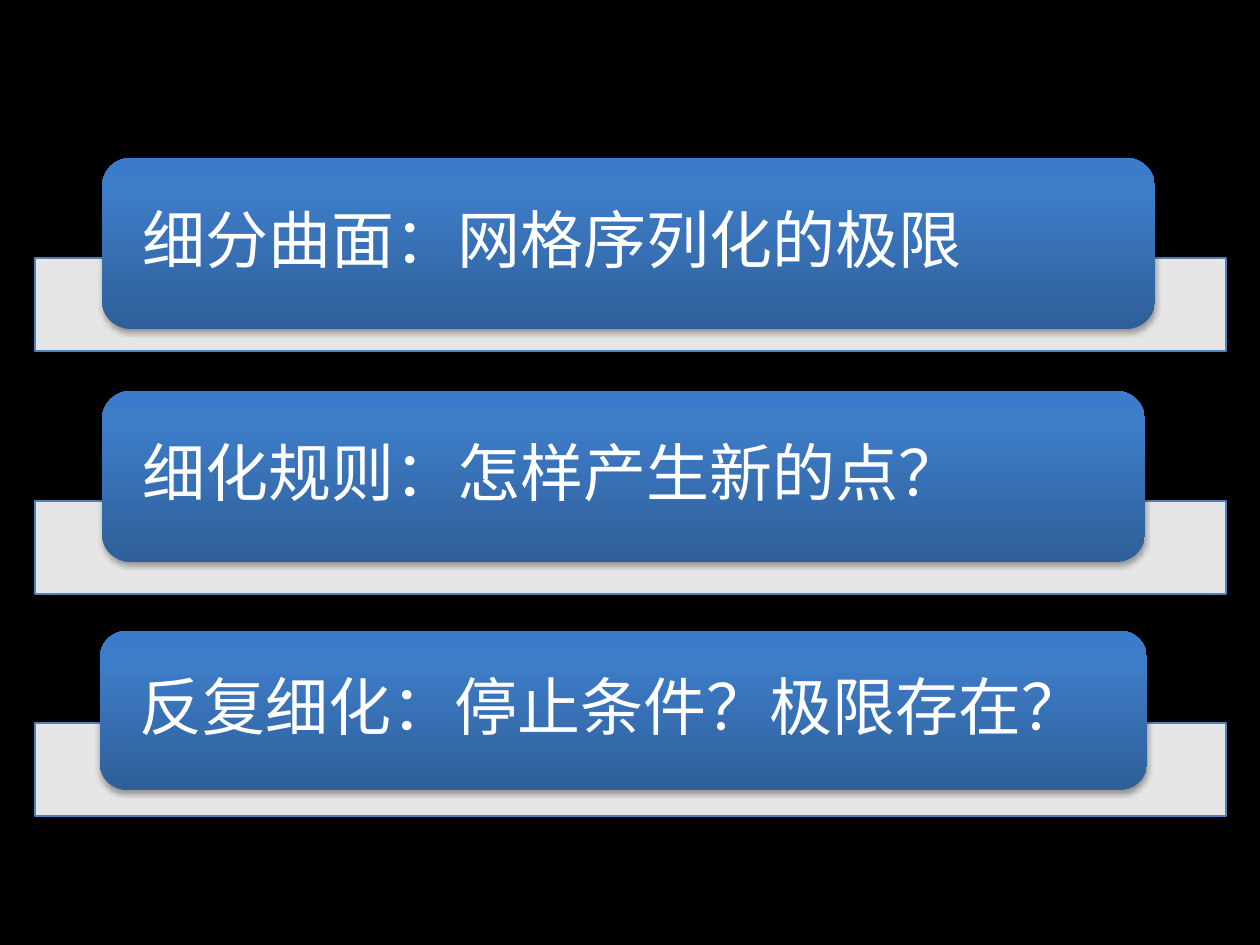
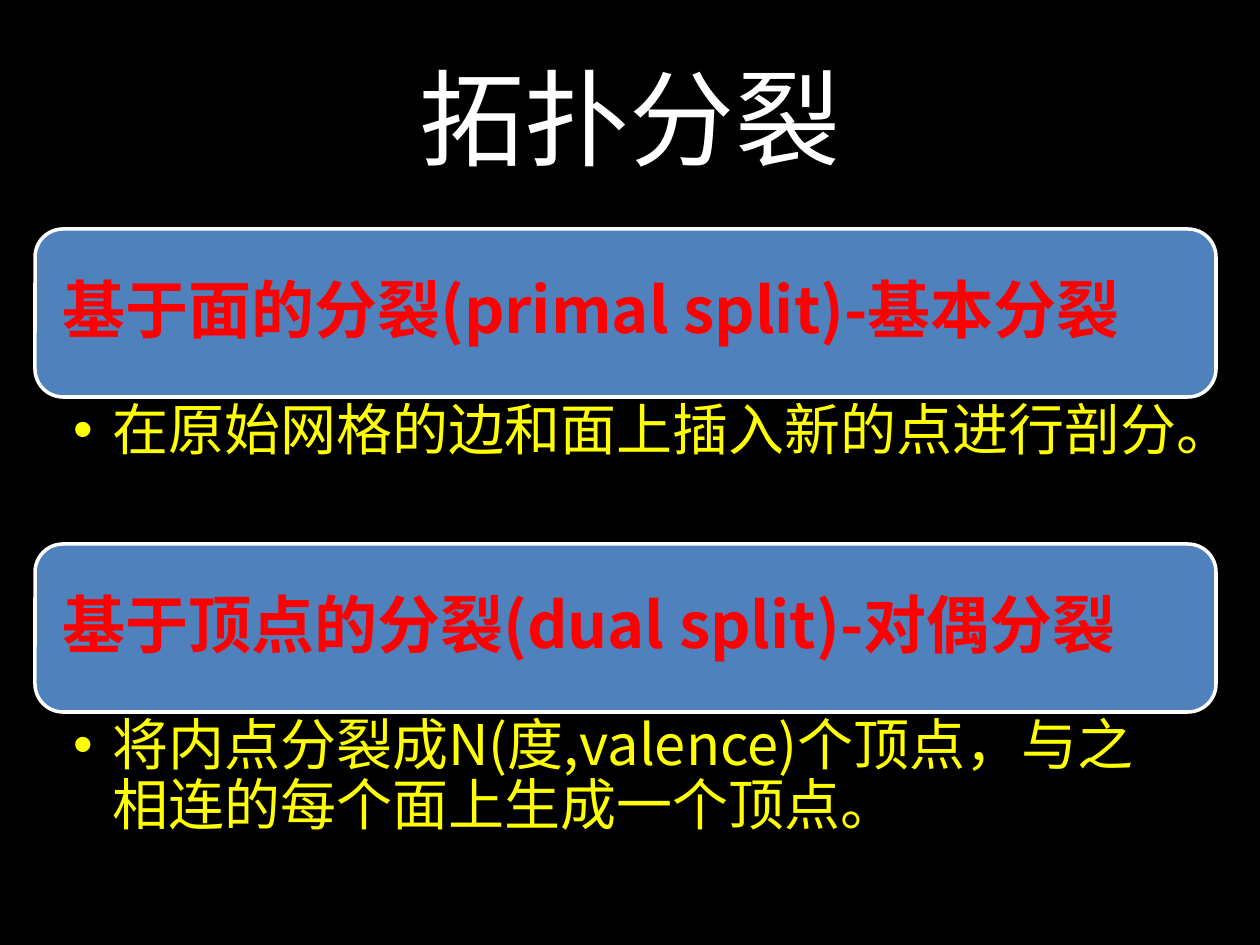
from lxml.etree import SubElement
from pptx import Presentation
from pptx.dml.color import RGBColor
from pptx.enum.shapes import MSO_SHAPE
from pptx.enum.text import MSO_ANCHOR, PP_ALIGN
from pptx.oxml.ns import qn
from pptx.util import Pt

# Content: each limit card has its text, its box and the top of its bar
LIMIT_CARDS = [
    ("细分曲面：网格序列化的极限", (102, 158, 1053, 171), 258),
    ("细化规则：怎样产生新的点？", (102, 391, 1043, 171), 501),
    ("反复细化：停止条件？极限存在？", (100, 631, 1047, 159), 723),
]
SPLIT_TITLE = "拓扑分裂"
SPLITS = [
    ("基于面的分裂(primal split)-基本分裂",
     "在原始网格的边和面上插入新的点进行剖分。"),
    ("基于顶点的分裂(dual split)-对偶分裂",
     "将内点分裂成N(度,valence)个顶点，与之相连的每个面上生成一个顶点。"),
]

# Shared style
BLACK = RGBColor(0, 0, 0)
WHITE = RGBColor(255, 255, 255)
RED = RGBColor(255, 0, 0)
YELLOW = RGBColor(255, 255, 0)
BLUE = RGBColor(0x4F, 0x81, 0xBD)
GRADIENT = [(0, "2F5F99"), (80, "3D7CC7"), (100, "3A7CCB")]
FONT = "Noto Sans CJK SC"
TITLE_FORMAT = {"size": Pt(60), "color": WHITE}
CARD_FORMAT = {"size": Pt(36), "color": WHITE}
HEADING_FORMAT = {"size": Pt(36), "color": RED, "bold": True}
BULLET_FORMAT = {"size": Pt(32), "color": YELLOW}

# Geometry in px
PX = 914400 / 126
LEFT = 35
BAR_WIDTH, BAR_HEIGHT = 1191, 93
SPLIT_TOP, SPLIT_PITCH = 229, 315
SPLIT_WIDTH, SPLIT_HEIGHT = 1181, 168
BULLET_INDENT = 39


def px(*lengths):
    return [round(length * PX) for length in lengths]


def add_page(deck):
    page = deck.slides.add_slide(deck.slide_layouts[6])
    fill = page.background.fill
    fill.solid()
    fill.fore_color.rgb = BLACK
    return page


def add_block(page, kind, box, fill, line=None, line_width=0.75):
    block = page.shapes.add_shape(kind, *px(*box))
    block.shadow.inherit = False
    block.fill.solid()
    block.fill.fore_color.rgb = fill
    if line is None:
        block.line.fill.background()
    else:
        block.line.color.rgb = line
        block.line.width = Pt(line_width)
    return block


def set_text(shape, text, style, insets, anchor=MSO_ANCHOR.MIDDLE,
             align=PP_ALIGN.LEFT, spacing=0.9, bullet=False):
    frame = shape.text_frame
    frame.word_wrap = True
    frame.vertical_anchor = anchor
    for side, inset in zip(("left", "top", "right", "bottom"), px(*insets)):
        setattr(frame, f"margin_{side}", inset)
    para = frame.paragraphs[0]
    para.alignment = align
    para.line_spacing = spacing
    if bullet:
        indent, = px(BULLET_INDENT)
        properties = para._p.get_or_add_pPr()
        properties.set("marL", str(indent))
        properties.set("indent", str(-indent))
        SubElement(properties, qn("a:buFont"), typeface="Arial")
        SubElement(properties, qn("a:buChar"), char="•")
    span = para.add_run()
    span.text = text
    for name, value in style.items():
        if name == "color":
            span.font.color.rgb = value
        else:
            setattr(span.font, name, value)
    span.font.name = FONT
    SubElement(span._r.get_or_add_rPr(), qn("a:ea"), typeface=FONT)


def set_alpha(shape, percent):
    color = shape._element.spPr.find(qn("a:solidFill")).find(qn("a:srgbClr"))
    SubElement(color, qn("a:alpha"), val=str(percent * 1000))


def add_gradient(shape):
    shape.fill.gradient()
    shape.fill.gradient_angle = 90
    stops = shape._element.spPr.find(qn("a:gradFill")).find(qn("a:gsLst"))
    for stop in list(stops):
        stops.remove(stop)
    for position, color in GRADIENT:
        stop = SubElement(stops, qn("a:gs"), pos=str(position * 1000))
        SubElement(stop, qn("a:srgbClr"), val=color)


def add_shadow(shape):
    effects = shape._element.spPr.find(qn("a:effectLst"))
    shadow = SubElement(effects, qn("a:outerShdw"), blurRad=str(Pt(3.1)),
                        dist=str(Pt(1.8)), dir="5400000", rotWithShape="0")
    color = SubElement(shadow, qn("a:srgbClr"), val=str(BLACK))
    SubElement(color, qn("a:alpha"), val="35000")


def build_limits(deck):
    page = add_page(deck)
    for text, box, bar_top in LIMIT_CARDS:
        bar = add_block(page, MSO_SHAPE.RECTANGLE,
                        (LEFT, bar_top, BAR_WIDTH, BAR_HEIGHT), WHITE, BLUE)
        set_alpha(bar, 90)
        card = add_block(page, MSO_SHAPE.ROUNDED_RECTANGLE, box, BLUE)
        add_gradient(card)
        add_shadow(card)
        set_text(card, text, CARD_FORMAT, (32, 0, 32, 0))


def build_splits(deck):
    page = add_page(deck)
    title = page.shapes.add_textbox(*px(63, 38, 1134, 157))
    set_text(title, SPLIT_TITLE, TITLE_FORMAT, (13, 6, 13, 6),
             align=PP_ALIGN.CENTER, spacing=1.0)
    for index, (heading, detail) in enumerate(SPLITS):
        top = SPLIT_TOP + index * SPLIT_PITCH
        card = add_block(page, MSO_SHAPE.ROUNDED_RECTANGLE,
                         (LEFT, top, SPLIT_WIDTH, SPLIT_HEIGHT),
                         BLUE, WHITE, 2)
        set_text(card, heading, HEADING_FORMAT, (19, 19, 19, 19))
        # The explanation starts where its card ends
        box = page.shapes.add_textbox(
            *px(LEFT, top + SPLIT_HEIGHT, SPLIT_WIDTH, SPLIT_PITCH - SPLIT_HEIGHT))
        set_text(box, detail, BULLET_FORMAT, (38, 5, 32, 5),
                 anchor=MSO_ANCHOR.TOP, bullet=True)


def main():
    deck = Presentation()
    deck.slide_width, deck.slide_height = px(1260, 945)
    build_limits(deck)
    build_splits(deck)
    deck.save("out.pptx")


if __name__ == "__main__":
    main()
